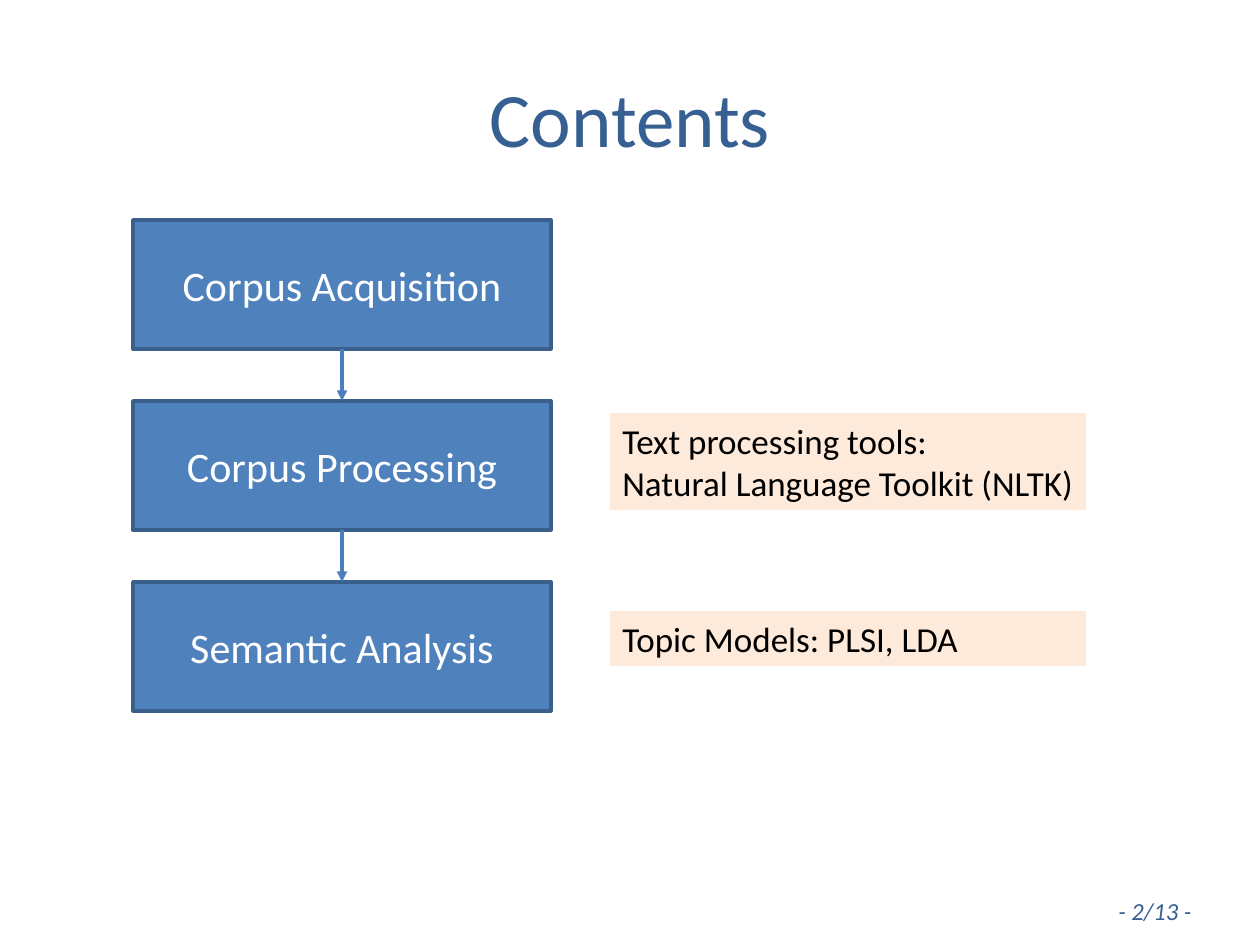
import pptx
import pptx.util
import pptx.dml.color
import pptx.enum.shapes
import pptx.enum.text
import pptx.oxml.ns
from lxml import etree

SCALE = 914400 / 126
ALIGN = pptx.enum.text.PP_ALIGN
ANCHOR = pptx.enum.text.MSO_ANCHOR


def px(length):
    return pptx.util.Emu(round(length * SCALE))


def color(value):
    return pptx.dml.color.RGBColor.from_string(value)


class SlideBuilder:
    font = "Calibri"
    heading = "376092"
    step_fill = "4F81BD"
    step_line = "3A5F8C"
    arrow_line = "4B7EBC"
    note_fill = "FDEADA"

    def __init__(self, slide):
        self.slide = slide

    def set_text(self, shape, text, size, text_color, align, anchor, italic=False):
        frame = shape.text_frame
        frame.text = text
        frame.vertical_anchor = anchor
        for para in frame.paragraphs:
            para.alignment = align
            for span in para.runs:
                span.font.name = self.font
                span.font.size = pptx.util.Pt(size)
                span.font.italic = italic
                span.font.color.rgb = color(text_color)

    def title(self, text, left, top, width, height):
        title = self.slide.shapes.title
        title.left, title.top = px(left), px(top)
        title.width, title.height = px(width), px(height)
        self.set_text(title, text, 44, self.heading, ALIGN.CENTER, ANCHOR.MIDDLE)

    def page_number(self, text, left, top, width, height):
        box = self.slide.shapes.add_textbox(px(left), px(top), px(width), px(height))
        box.text_frame.word_wrap = False
        self.set_text(box, text, 14, self.heading, ALIGN.LEFT, ANCHOR.TOP, italic=True)

    def rectangle(self, left, top, width, height, fill):
        box = self.slide.shapes.add_shape(
            pptx.enum.shapes.MSO_SHAPE.RECTANGLE,
            px(left), px(top), px(width), px(height))
        box.shadow.inherit = False
        box.fill.solid()
        box.fill.fore_color.rgb = color(fill)
        box.text_frame.word_wrap = True
        return box

    def step(self, text, left, top, width, height):
        box = self.rectangle(left, top, width, height, self.step_fill)
        box.line.color.rgb = color(self.step_line)
        box.line.width = pptx.util.Pt(2)
        self.set_text(box, text, 24, "FFFFFF", ALIGN.CENTER, ANCHOR.MIDDLE)
        return box

    def note(self, text, left, top, width, height):
        box = self.rectangle(left, top, width, height, self.note_fill)
        box.line.fill.background()
        self.set_text(box, text, 20, "000000", ALIGN.LEFT, ANCHOR.TOP)

    def arrow(self, upper, lower):
        arrow = self.slide.shapes.add_connector(
            pptx.enum.shapes.MSO_CONNECTOR.STRAIGHT, 0, 0, 0, 0)
        arrow.begin_connect(upper, 2)
        arrow.end_connect(lower, 0)
        arrow.line.color.rgb = color(self.arrow_line)
        arrow.line.width = pptx.util.Pt(2)
        qn = pptx.oxml.ns.qn
        properties = arrow.element.spPr
        etree.SubElement(properties.find(qn("a:ln")), qn("a:tailEnd"), type="triangle")
        etree.SubElement(properties, qn("a:effectLst"))


def main():
    deck = pptx.Presentation()
    deck.slide_width, deck.slide_height = px(1260), px(945)
    page = SlideBuilder(deck.slides.add_slide(deck.slide_layouts[5]))

    # Title and page number
    page.title("Contents", 63, 38, 1134, 157)
    page.page_number("- 2/13 -", 1106, 890, 130, 42)

    # Steps, evenly spaced and joined by arrows
    names = ["Corpus Acquisition", "Corpus Processing", "Semantic Analysis"]
    steps = [page.step(name, 133, 220 + 181 * row, 418, 129)
             for row, name in enumerate(names)]
    for upper, lower in zip(steps, steps[1:]):
        page.arrow(upper, lower)

    # Notes beside the steps
    page.note("Text processing tools:\nNatural Language Toolkit (NLTK)",
              610, 413, 476, 97)
    page.note("Topic Models: PLSI, LDA", 610, 611, 476, 55)

    deck.save("out.pptx")


if __name__ == "__main__":
    main()
